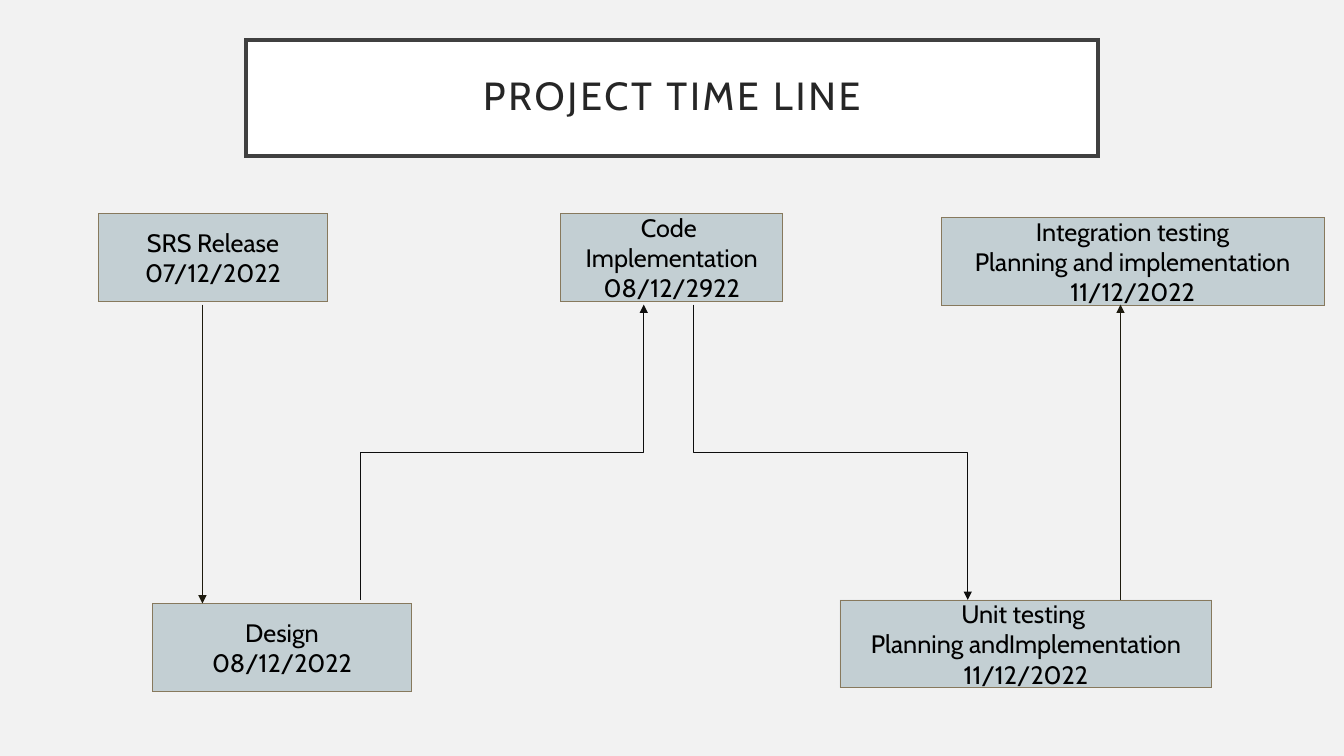
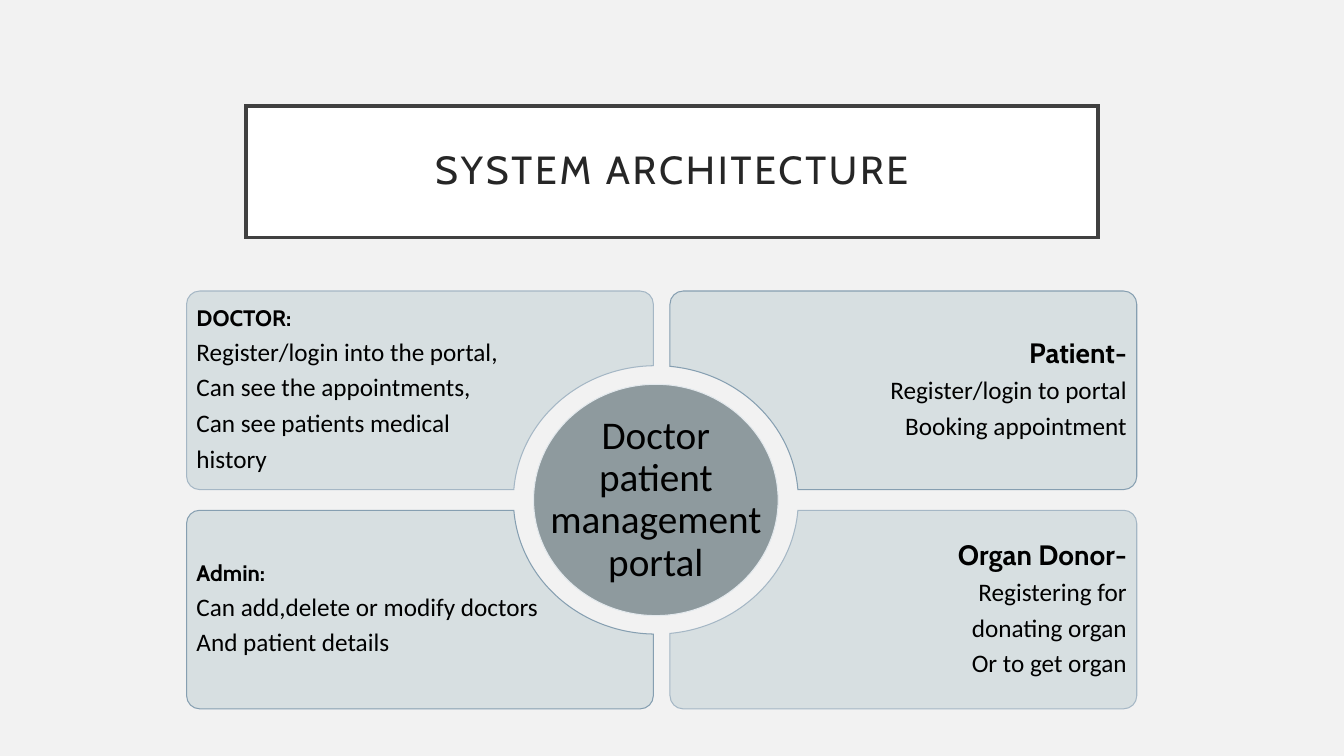
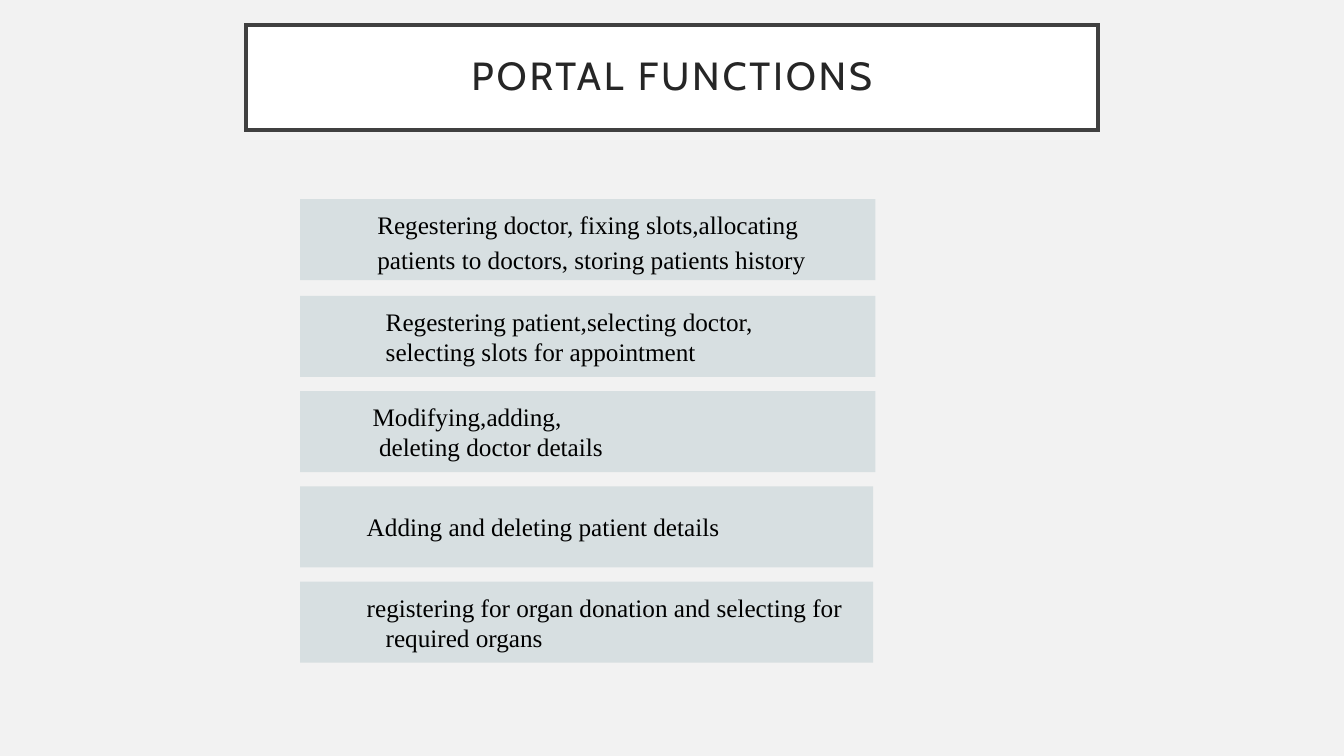
import math
from dataclasses import dataclass

from lxml import etree
from pptx import Presentation
from pptx.dml.color import RGBColor
from pptx.enum.shapes import MSO_CONNECTOR, MSO_SHAPE
from pptx.enum.text import MSO_ANCHOR, MSO_AUTO_SIZE, PP_ALIGN
from pptx.oxml.ns import qn
from pptx.util import Inches, Pt

RECT = MSO_SHAPE.RECTANGLE
STRAIGHT, ELBOW = MSO_CONNECTOR.STRAIGHT, MSO_CONNECTOR.ELBOW
LEFT, CENTER, RIGHT = PP_ALIGN.LEFT, PP_ALIGN.CENTER, PP_ALIGN.RIGHT
MIDDLE = MSO_ANCHOR.MIDDLE
NO_FIT = MSO_AUTO_SIZE.NONE
SLIDE_WIDTH, SLIDE_HEIGHT = Inches(13.33), Inches(7.5)
TITLE_ONLY = 5
QUARTER = math.pi / 2


@dataclass(frozen=True)
class Theme:
    background: str = "F2F2F2"
    title_fill: str = "FFFFFF"
    title_line: str = "404040"
    title_text: str = "262626"
    text: str = "000000"
    milestone: str = "C3CFD3"
    milestone_line: str = "87795D"
    panel: str = "D7DFE1"
    panel_light_line: str = "A5B7C5"
    panel_dark_line: str = "869FB1"
    hub: str = "8E9A9E"
    hub_line: str = "E3E9ED"
    straight_arrow: str = "1E1B0E"
    bent_arrow: str = "0D0D0D"
    heading_font: str = "Cabin"
    body_font: str = "Calibri"
    list_font: str = "Times New Roman"
    large: int = 28
    heading: int = 20
    body: int = 18
    small: int = 16


THEME = Theme()


def across(percent):
    return round(SLIDE_WIDTH * percent / 100)


def down(percent):
    return round(SLIDE_HEIGHT * percent / 100)


def area(left, top, width, height):
    return across(left), down(top), across(width), down(height)


def rgb(color):
    return RGBColor.from_string(color)


def paint(shape, fill, line=None, weight=0.5):
    shape.fill.solid()
    shape.fill.fore_color.rgb = rgb(fill)
    if line:
        shape.line.color.rgb = rgb(line)
        shape.line.width = Pt(weight)
        etree.SubElement(shape.line._get_or_add_ln(), qn("a:miter"), lim="800000")
    else:
        shape.line.fill.background()
    shape.shadow.inherit = False


def prepare_frame(shape, inset_x=0.1, inset_y=0.05):
    frame = shape.text_frame
    frame.word_wrap = True
    frame.auto_size = NO_FIT
    frame.vertical_anchor = MIDDLE
    frame.margin_left = frame.margin_right = Inches(inset_x)
    frame.margin_top = frame.margin_bottom = Inches(inset_y)
    return frame


def write(frame, text, font=THEME.heading_font, size=THEME.body, color=THEME.text,
          bold=False, align=CENTER, spacing=None, after=0, indent=0, tracking=0):
    paragraph = frame.paragraphs[0]
    if paragraph.runs:
        paragraph = frame.add_paragraph()
    paragraph.alignment = align
    paragraph.space_before = Pt(0)
    paragraph.space_after = Pt(after)
    if spacing:
        paragraph.line_spacing = spacing
    if indent:
        paragraph._p.get_or_add_pPr().set("marL", str(across(indent)))
    run = paragraph.add_run()
    run.text = text
    run.font.name = font
    run.font.size = Pt(size)
    run.font.bold = bold
    run.font.color.rgb = rgb(color)
    if tracking:
        run._r.get_or_add_rPr().set("spc", str(tracking * 100))


def add_titled_slide(deck, title, top, height):
    slide = deck.slides.add_slide(deck.slide_layouts[TITLE_ONLY])
    banner = slide.shapes.title
    banner.left, banner.top, banner.width, banner.height = area(18.3, top, 63.4, height)
    paint(banner, THEME.title_fill, THEME.title_line, 2.5)
    write(prepare_frame(banner, 0.2, 0.2), title, size=THEME.large,
          color=THEME.title_text, spacing=0.9, tracking=2)
    return slide


def add_block(slide, place, fill, line=None):
    block = slide.shapes.add_shape(RECT, *area(*place))
    paint(block, fill, line)
    return block


def add_milestone(slide, left, top, width, lines):
    block = add_block(slide, (left, top, width, 11.6), THEME.milestone, THEME.milestone_line)
    frame = prepare_frame(block)
    for line in lines:
        write(frame, line)


def style_arrow(arrow, color):
    arrow.line.color.rgb = rgb(color)
    arrow.line.width = Pt(0.5)
    etree.SubElement(arrow.line._get_or_add_ln(), qn("a:tailEnd"), type="triangle")
    etree.SubElement(arrow._element.spPr, qn("a:effectLst"))


def add_straight_arrow(slide, x, start, end):
    arrow = slide.shapes.add_connector(STRAIGHT, across(x), down(start), across(x), down(end))
    style_arrow(arrow, THEME.straight_arrow)


def add_bent_arrow(slide, start_x, start_y, end_x, end_y):
    center_x, center_y = across((start_x + end_x) / 2), down((start_y + end_y) / 2)
    half_run = down(start_y - end_y) // 2
    half_rise = across(end_x - start_x) // 2
    arrow = slide.shapes.add_connector(
        ELBOW, center_x - half_run, center_y - half_rise,
        center_x + half_run, center_y + half_rise)
    arrow._element.spPr.find(qn("a:xfrm")).set("rot", "16200000")
    style_arrow(arrow, THEME.bent_arrow)


def arc(center, radii, signs, first, last):
    pull = 4 / 3 * math.tan((last - first) / 4)
    cos_first, sin_first = math.cos(first), math.sin(first)
    cos_last, sin_last = math.cos(last), math.sin(last)
    unit_points = [
        (cos_first, sin_first),
        (cos_first - pull * sin_first, sin_first + pull * cos_first),
        (cos_last + pull * sin_last, sin_last - pull * cos_last),
        (cos_last, sin_last),
    ]
    return [(center[0] + signs[0] * radii[0] * x, center[1] + signs[1] * radii[1] * y)
            for x, y in unit_points]


def add_curved_shape(slide, arcs):
    points = [point for curve in arcs for point in curve]
    builder = slide.shapes.build_freeform(*points[0])
    builder.add_line_segments(points[1:], close=True)
    shape = builder.convert_to_shape()
    segments = list(shape._element.iter(qn("a:moveTo"), qn("a:lnTo")))
    for start in range(0, len(points), 4):
        curve = etree.Element(qn("a:cubicBezTo"))
        segments[start].addnext(curve)
        for segment in segments[start + 1:start + 4]:
            curve.append(segment[0])
            segment.getparent().remove(segment)
    return shape


def notched_outline(place, hub, notch, side, level):
    left, top, width, height = place
    inner_x, outer_x = (left, left + width) if side > 0 else (left + width, left)
    inner_y, outer_y = (top, top + height) if level > 0 else (top + height, top)
    corner = across(0.98)
    radii = (corner, corner)
    near_x, far_x = inner_x + side * corner, outer_x - side * corner
    near_y, far_y = inner_y + level * corner, outer_y - level * corner
    notch_first = math.acos(abs(inner_x - hub[0]) / notch[0])
    notch_last = math.asin(abs(inner_y - hub[1]) / notch[1])
    return [
        arc((far_x, far_y), radii, (side, level), 0, QUARTER),
        arc((near_x, far_y), radii, (-side, level), QUARTER, 0),
        arc(hub, notch, (side, level), notch_first, notch_last),
        arc((far_x, near_y), radii, (side, -level), QUARTER, 0),
    ]


def add_panel(slide, hub, side, level, heading, heading_size, lines):
    place = area(49.85 if side > 0 else 13.88, 67.5 if level > 0 else 38.5, 34.73, 26.27)
    notch = (across(10.6), down(17.75))
    panel = add_curved_shape(slide, notched_outline(place, hub, notch, side, level))
    line = THEME.panel_light_line if side == level else THEME.panel_dark_line
    paint(panel, THEME.panel, line, 0.75)
    frame = prepare_frame(panel, 0.1, 0.1)
    layout = dict(align=RIGHT if side > 0 else LEFT, spacing=0.9, after=6)
    write(frame, heading, size=heading_size, bold=True, **layout)
    for text in lines:
        write(frame, text, font=THEME.body_font, **layout)


def add_hub(slide, center, text):
    radii = (across(9.1), down(15.3))
    hub = add_curved_shape(slide, [
        arc(center, radii, (1, 1), turn * QUARTER, (turn + 1) * QUARTER)
        for turn in range(4)])
    paint(hub, THEME.hub, THEME.hub_line, 0.75)
    write(prepare_frame(hub, 0.1, 0.1), text, font=THEME.body_font,
          size=THEME.large, spacing=0.9, after=6)


def add_function_row(slide, place, lines, spacing=None):
    frame = prepare_frame(add_block(slide, place, THEME.panel))
    for text, indent in lines:
        write(frame, text, font=THEME.list_font, align=LEFT, indent=indent, spacing=spacing)


def build_timeline(deck):
    slide = add_titled_slide(deck, "PROJECT TIME LINE", 5.3, 15.33)
    milestones = [
        (7.35, 28.23, 17, ["SRS Release", "07/12/2022"]),
        (41.73, 28.23, 16.5, ["Code ", "Implementation", "08/12/2922"]),
        (70.03, 28.75, 28.48,
         ["Integration testing", "Planning and implementation", "11/12/2022"]),
        (11.36, 79.83, 19.25, ["Design", "08/12/2022"]),
        (62.5, 79.37, 27.67, ["Unit testing ", "Planning andImplementation", "11/12/2022"]),
    ]
    for milestone in milestones:
        add_milestone(slide, *milestone)
    upper, lower = 40.3, 79.35
    add_straight_arrow(slide, 83.37, lower, upper)
    add_bent_arrow(slide, 26.8, lower, 47.9, upper)
    add_bent_arrow(slide, 51.6, upper, 72, lower)
    add_straight_arrow(slide, 15.06, upper, 79.83)


def build_architecture(deck):
    slide = add_titled_slide(deck, "SYSTEM ARCHITECTURE", 14, 17.4)
    center = across(48.8), down(66.13)
    panels = [
        (-1, -1, "DOCTOR:", THEME.small,
         ["Register/login into the portal,", "Can see the appointments,",
          "Can see patients medical", "history"]),
        (-1, 1, "Admin:", THEME.small,
         ["Can add,delete or modify doctors", "And patient details"]),
        (1, -1, "Patient-", THEME.heading,
         ["Register/login to portal", "Booking appointment"]),
        (1, 1, "Organ Donor-", THEME.heading,
         ["Registering for", "donating organ", "Or to get organ"]),
    ]
    for panel in panels:
        add_panel(slide, center, *panel)
    add_hub(slide, center, "Doctor patient management portal")


def build_functions(deck):
    slide = add_titled_slide(deck, "PORTAL FUNCTIONS", 3.33, 13.9)
    left, height = 22.33, 10.7
    first_top, list_top, pitch = 26.35, 39.15, 12.6
    add_block(slide, (left, first_top, 42.8, height), THEME.panel)
    add_function_row(
        slide, (23.58, 27.5, 39.1, 8.4),
        [("Regestering doctor, fixing slots,allocating patients to doctors, "
          "storing patients history", 3.75)], spacing=1.15)
    rows = [
        (42.8, [("Regestering patient,selecting doctor,", 5.63),
                ("selecting slots for appointment", 5.63)]),
        (42.8, [("Modifying,adding,", 4.65), ("deleting doctor details", 5.13)]),
        (42.63, [("Adding and deleting patient details", 4.22)]),
        (42.63, [("registering for organ donation and selecting for", 4.22),
                 ("required organs", 5.63)]),
    ]
    for index, (width, lines) in enumerate(rows):
        add_function_row(slide, (left, list_top + index * pitch, width, height), lines)


def main():
    deck = Presentation()
    deck.slide_width, deck.slide_height = SLIDE_WIDTH, SLIDE_HEIGHT
    backdrop = deck.slide_master.background.fill
    backdrop.solid()
    backdrop.fore_color.rgb = rgb(THEME.background)
    build_timeline(deck)
    build_architecture(deck)
    build_functions(deck)
    deck.save("out.pptx")


if __name__ == "__main__":
    main()
